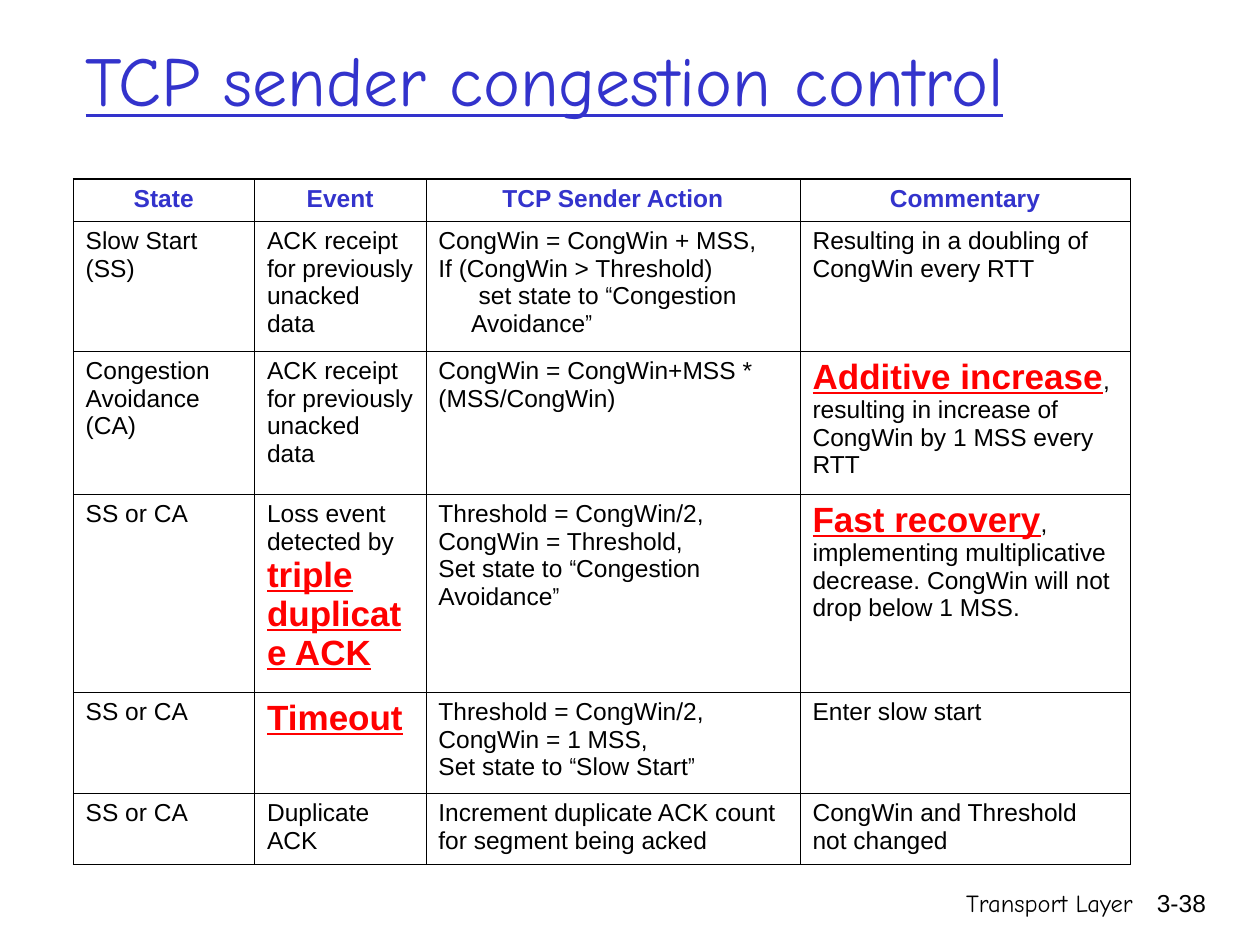
from itertools import groupby

from lxml.etree import SubElement
from pptx import Presentation
from pptx.dml.color import RGBColor
from pptx.enum.text import MSO_ANCHOR, MSO_AUTO_SIZE, PP_ALIGN
from pptx.oxml.ns import qn
from pptx.util import Inches, Pt

HEADINGS = ["State", "Event", "TCP Sender Action", "Commentary"]
UNACKED = ["ACK receipt for previously unacked data"]
LOSS = ["SS or CA"]
INDENT = ">"
EMPHASIS = "|"
STATES = [
    [["Slow Start (SS)"], UNACKED,
     ["CongWin = CongWin + MSS,", "If (CongWin > Threshold)",
      INDENT + "set state to “Congestion Avoidance”"],
     ["Resulting in a doubling of CongWin every RTT"]],
    [["Congestion", "Avoidance (CA)"], UNACKED,
     ["CongWin = CongWin+MSS * (MSS/CongWin)"],
     ["|Additive increase|, resulting in increase of CongWin by 1 MSS every RTT"]],
    [LOSS, ["Loss event detected by |triple duplicate ACK|"],
     ["Threshold = CongWin/2,", "CongWin = Threshold,",
      "Set state to “Congestion Avoidance”"],
     ["|Fast recovery|, implementing multiplicative decrease. "
      "CongWin will not drop below 1 MSS."]],
    [LOSS, ["|Timeout|"],
     ["Threshold = CongWin/2,", "CongWin = 1 MSS,", "Set state to “Slow Start”"],
     ["Enter slow start"]],
    [LOSS, ["Duplicate ACK"],
     ["Increment duplicate ACK count for segment being acked"],
     ["CongWin and Threshold not changed"]],
]
COLUMN_WIDTHS = [14.4, 13.6, 29.7, 26.2]
ROW_HEIGHTS = [3.3, 10.3, 11.3, 15.7, 8, 5.7]


def colour(value):
    return RGBColor.from_string(value)


class Deck:
    ink, accent, alert = "000000", "3333CC", "FF0000"
    body, quote, script = "Arial", "Arial Narrow", "Comic Neue"
    text_size, alert_size, title_size = 14, 20, 40
    columns, rows = 100, 75

    def __init__(self):
        self.presentation = Presentation()
        self.presentation.slide_width = Inches(10)
        self.presentation.slide_height = Inches(7.5)
        self.slide = self.presentation.slides.add_slide(
            self.presentation.slide_layouts[5])

    def across(self, count):
        return round(self.presentation.slide_width * count / self.columns)

    def down(self, count):
        return round(self.presentation.slide_height * count / self.rows)

    def area(self, left, top, width, height):
        return self.across(left), self.down(top), self.across(width), self.down(height)

    def style(self, font, face, size, shade, bold=False, underline=False):
        font.name, font.size = face, Pt(size)
        font.color.rgb = colour(shade)
        font.bold, font.underline = bold, underline

    def title(self, text, *place):
        heading = self.slide.shapes.title
        heading.left, heading.top, heading.width, heading.height = self.area(*place)
        frame = heading.text_frame
        frame.text = text
        frame.auto_size = MSO_AUTO_SIZE.NONE
        frame.vertical_anchor = MSO_ANCHOR.MIDDLE
        frame.paragraphs[0].alignment = PP_ALIGN.LEFT
        self.style(frame.paragraphs[0].runs[0].font, self.script, self.title_size,
                   self.accent, underline=True)

    def footer(self, text, face, *place):
        frame = self.slide.shapes.add_textbox(*self.area(*place)).text_frame
        frame.word_wrap = True
        frame.text = text
        frame.paragraphs[0].alignment = PP_ALIGN.RIGHT
        self.style(frame.paragraphs[0].runs[0].font, face, self.text_size, self.ink)

    def border(self, cell, top, bottom):
        properties = cell._tc.get_or_add_tcPr()
        for side, width in (("L", 0.34), ("R", 0.34), ("T", top), ("B", bottom)):
            line = SubElement(properties, qn(f"a:ln{side}"), w=str(Pt(width)))
            fill = SubElement(line, qn("a:solidFill"))
            SubElement(fill, qn("a:srgbClr"), val=self.ink)
        cell.fill.background()

    def cell_line(self, paragraph, line):
        if line.startswith(INDENT):
            properties = paragraph._p.get_or_add_pPr()
            properties.set("marL", str(self.across(2.6)))
            properties.set("indent", str(self.across(0.6)))
        for position, part in enumerate(line.removeprefix(INDENT).split(EMPHASIS)):
            for quoted, letters in groupby(part, lambda letter: letter in "“”"):
                run = paragraph.add_run()
                run.text = "".join(letters)
                if position % 2:
                    self.style(run.font, self.body, self.alert_size, self.alert, True, True)
                else:
                    self.style(run.font, self.quote if quoted else self.body,
                               self.text_size, self.ink)

    def table(self, headings, records, widths, heights, left, top):
        place = self.area(left, top, sum(widths), sum(heights))
        grid = self.slide.shapes.add_table(len(heights), len(widths), *place).table
        grid.first_row = grid.horz_banding = False
        for column, width in zip(grid.columns, widths):
            column.width = self.across(width)
        for row, height in zip(grid.rows, heights):
            row.height = self.down(height)
        for index, heading in enumerate(headings):
            cell = grid.cell(0, index)
            cell.text_frame.text = heading
            paragraph = cell.text_frame.paragraphs[0]
            paragraph.alignment = PP_ALIGN.CENTER
            self.style(paragraph.runs[0].font, self.body, self.text_size,
                       self.accent, bold=True)
            self.border(cell, 0.96, 0.45)
        for number, record in enumerate(records, 1):
            for index, lines in enumerate(record):
                cell = grid.cell(number, index)
                frame = cell.text_frame
                for order, line in enumerate(lines):
                    paragraph = frame.add_paragraph() if order else frame.paragraphs[0]
                    self.cell_line(paragraph, line)
                self.border(cell, 0.45, 0.96 if number == len(records) else 0.45)


def main():
    deck = Deck()
    deck.footer("Transport Layer", deck.script, 59.2, 70, 31.7, 5)
    deck.footer("3-38", deck.body, 89.3, 70, 7.4, 5)
    deck.title("TCP sender congestion control", 5.8, 0, 85, 12.5)
    deck.table(HEADINGS, STATES, COLUMN_WIDTHS, ROW_HEIGHTS, 5.8, 14.2)
    deck.presentation.save("out.pptx")


if __name__ == "__main__":
    main()
